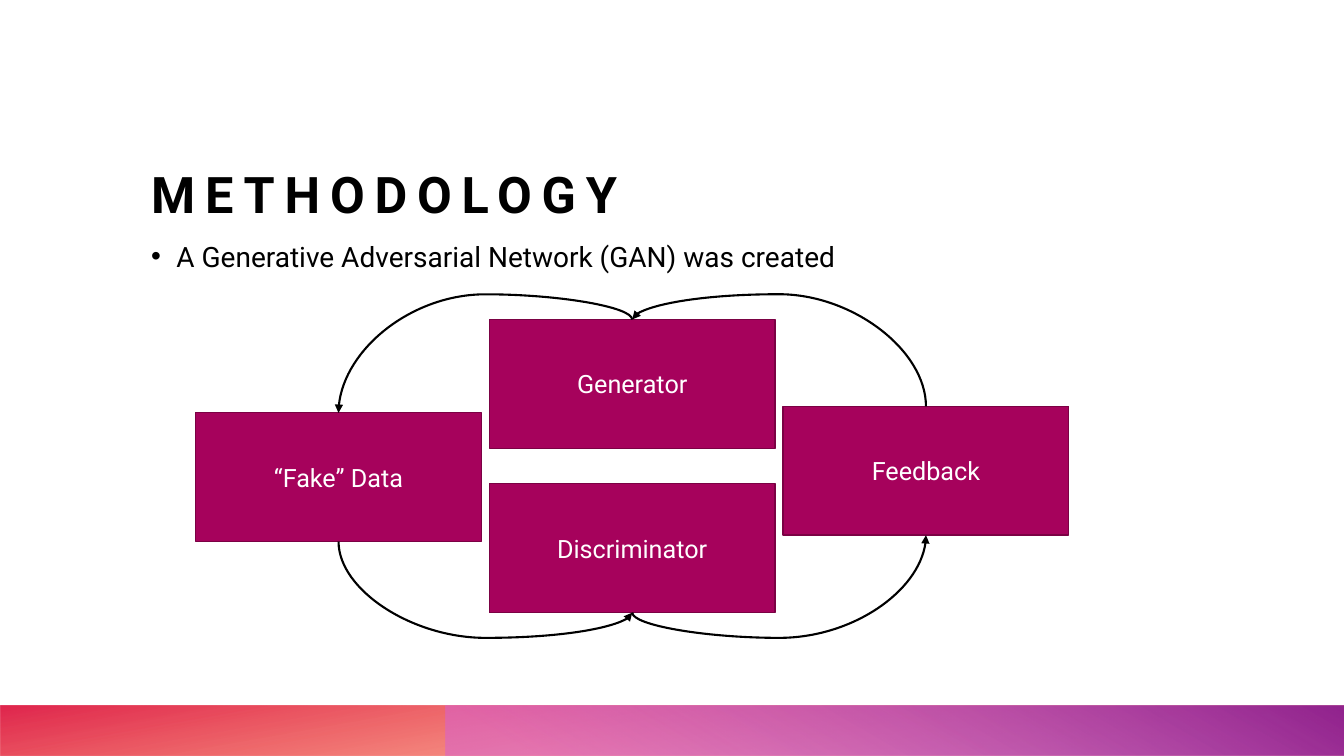
from lxml import etree
from pptx import Presentation
from pptx.dml.color import RGBColor
from pptx.enum.shapes import MSO_CONNECTOR, MSO_SHAPE
from pptx.enum.text import MSO_ANCHOR, MSO_AUTO_SIZE, PP_ALIGN
from pptx.oxml import parse_xml
from pptx.oxml.ns import nsdecls, qn
from pptx.util import Pt

BLACK = RGBColor(0x00, 0x00, 0x00)
WHITE = RGBColor(0xFF, 0xFF, 0xFF)
BERRY = RGBColor(0xA6, 0x02, 0x5C)
DARK_BERRY = RGBColor(0x7B, 0x01, 0x44)
ORANGE = RGBColor(0xFE, 0x4A, 0x00)
RED = RGBColor(0xDA, 0x00, 0x2F)
PINK = RGBColor(0xD8, 0x61, 0xD4)
PURPLE = RGBColor(0x92, 0x24, 0x8E)

RECTANGLE, PROCESS = MSO_SHAPE.RECTANGLE, MSO_SHAPE.FLOWCHART_PROCESS
CURVE = MSO_CONNECTOR.CURVE
TOP, MIDDLE, BOTTOM = MSO_ANCHOR.TOP, MSO_ANCHOR.MIDDLE, MSO_ANCHOR.BOTTOM
LEFT, CENTER = PP_ALIGN.LEFT, PP_ALIGN.CENTER
NO_AUTOFIT = MSO_AUTO_SIZE.NONE

TOP_SITE, BOTTOM_SITE = 0, 2
TITLE_ONLY = 5
SLIDE_W, SLIDE_H = 960, 540
BAR_H = 36
TEXT_LEFT, TEXT_W = 108, 806.4
STEP_W, STEP_H = 204, 92
BEND = 18
UNITS = 60000  # angle units per degree


class Deck:
    """Holds the common style and the slide being filled."""

    font = "Roboto"

    def __init__(self):
        self.prs = Presentation()
        self.prs.slide_width, self.prs.slide_height = Pt(SLIDE_W), Pt(SLIDE_H)
        self.slide = self.prs.slides.add_slide(self.prs.slide_layouts[TITLE_ONLY])

    @staticmethod
    def apply(target, formats):
        for name, value in formats.items():
            setattr(target, name, value)

    def set_text(self, shape, text, size, color, align, anchor, bold=False, inset=0):
        frame = shape.text_frame
        frame.text = text
        self.apply(frame, dict(
            word_wrap=True, auto_size=NO_AUTOFIT, vertical_anchor=anchor,
            margin_left=Pt(inset), margin_right=Pt(inset),
            margin_top=Pt(inset / 2), margin_bottom=Pt(inset / 2)))
        paragraph = frame.paragraphs[0]
        paragraph.alignment = align
        run = paragraph.runs[0]
        self.apply(run.font, dict(name=self.font, size=Pt(size), bold=bold))
        run.font.color.rgb = color
        return paragraph

    def title(self, text, top, height):
        heading = self.slide.shapes.title
        self.apply(heading, dict(left=Pt(TEXT_LEFT), top=Pt(top),
                                 width=Pt(TEXT_W), height=Pt(height)))
        paragraph = self.set_text(heading, text, 36, BLACK, LEFT, BOTTOM, bold=True)
        paragraph.runs[0]._r.get_or_add_rPr().set("spc", "700")

    def bullet(self, text, top, height):
        body = self.slide.shapes.add_textbox(
            Pt(TEXT_LEFT), Pt(top), Pt(TEXT_W), Pt(height))
        paragraph = self.set_text(body, text, 20, BLACK, LEFT, TOP)
        self.apply(paragraph, dict(line_spacing=1.2, space_before=Pt(10)))
        props = paragraph._p.get_or_add_pPr()
        props.set("marL", str(Pt(18)))
        props.set("indent", str(-Pt(18)))
        etree.SubElement(props, qn("a:buFont")).set("typeface", "Arial")
        etree.SubElement(props, qn("a:buChar")).set("char", "•")

    def bar(self, left, stops, angle, rotation=0):
        """Add a mirrored footer bar; stops are (position %, colour, opacity %)."""
        strip = self.slide.shapes.add_shape(
            RECTANGLE, Pt(left), Pt(SLIDE_H - BAR_H), Pt(SLIDE_W - left), Pt(BAR_H))
        strip.shadow.inherit = False
        strip.line.fill.background()
        strip.rotation = rotation
        props = strip._element.spPr
        props.find(qn("a:xfrm")).set("flipH", "1")
        marks = "".join(
            f'<a:gs pos="{pos * 1000}"><a:srgbClr val="{color}">'
            f'<a:alpha val="{opacity * 1000}"/></a:srgbClr></a:gs>'
            for pos, color, opacity in stops)
        props.find(qn("a:prstGeom")).addnext(parse_xml(
            f'<a:gradFill {nsdecls("a")} rotWithShape="1"><a:gsLst>{marks}</a:gsLst>'
            f'<a:lin ang="{angle * UNITS}" scaled="0"/></a:gradFill>'))

    def step(self, text, left, top):
        box = self.slide.shapes.add_shape(
            PROCESS, Pt(left), Pt(top), Pt(STEP_W), Pt(STEP_H))
        box.shadow.inherit = False
        box.fill.solid()
        box.fill.fore_color.rgb = BERRY
        box.line.color.rgb = DARK_BERRY
        box.line.width = Pt(1)
        self.set_text(box, text, 18, WHITE, CENTER, MIDDLE, inset=7.2)
        return box

    def arrow(self, start, start_site, end, end_site, bend_y, turn=270):
        """Join two steps by a curve that leaves vertically and turns at bend_y."""
        curve = self.slide.shapes.add_connector(CURVE, 0, 0, 0, 0)
        curve.begin_connect(start, start_site)
        curve.end_connect(end, end_site)
        x, y = curve.begin_x, curve.begin_y
        dx, dy = curve.end_x - x, curve.end_y - y
        # A quarter turn swaps the width and height around the same centre.
        self.apply(curve, dict(
            left=x + (dx - abs(dy)) // 2, top=y + (dy - abs(dx)) // 2,
            width=abs(dy), height=abs(dx)))
        props = curve._element.spPr
        frame = props.find(qn("a:xfrm"))
        flip_h, flip_v = (dy < 0, dx > 0) if turn == 90 else (dy > 0, dx < 0)
        for name, value in dict(rot=turn * UNITS, flipH=int(flip_h),
                                flipV=int(flip_v)).items():
            frame.set(name, str(value))
        geometry = props.find(qn("a:prstGeom"))
        guide = etree.SubElement(geometry.get_or_add_avLst(), qn("a:gd"))
        guide.set("name", "adj1")
        guide.set("fmla", f"val {round((Pt(bend_y) - y) / dy * 100000)}")
        curve.line.color.rgb = BLACK
        curve.line.width = Pt(1.5)
        outline = props.find(qn("a:ln"))
        etree.SubElement(outline, qn("a:tailEnd")).set("type", "triangle")
        etree.SubElement(props, qn("a:effectLst"))


def main():
    deck = Deck()
    deck.bar(0, [(14, ORANGE, 28), (100, RED, 85)], 100, rotation=180)
    deck.bar(318, [(9, PINK, 55), (99, PURPLE, 100)], 240)
    deck.title("METHODOLOGY", 62.6, 97.2)
    deck.bullet("A Generative Adversarial Network (GAN) was created", 166.3, 311.8)

    generator_top, discriminator_top = 228.2, 345.6
    generator = deck.step("Generator", 349.6, generator_top)
    fake_data = deck.step("“Fake” Data", 139.8, 294.9)
    feedback = deck.step("Feedback", 559.4, 290.3)
    discriminator = deck.step("Discriminator", 349.6, discriminator_top)

    above = generator_top - BEND
    below = discriminator_top + STEP_H + BEND
    deck.arrow(discriminator, BOTTOM_SITE, feedback, BOTTOM_SITE, below, turn=90)
    deck.arrow(feedback, TOP_SITE, generator, TOP_SITE, above)
    deck.arrow(generator, TOP_SITE, fake_data, TOP_SITE, above)
    deck.arrow(fake_data, BOTTOM_SITE, discriminator, BOTTOM_SITE, below)
    deck.prs.save("out.pptx")


if __name__ == "__main__":
    main()
